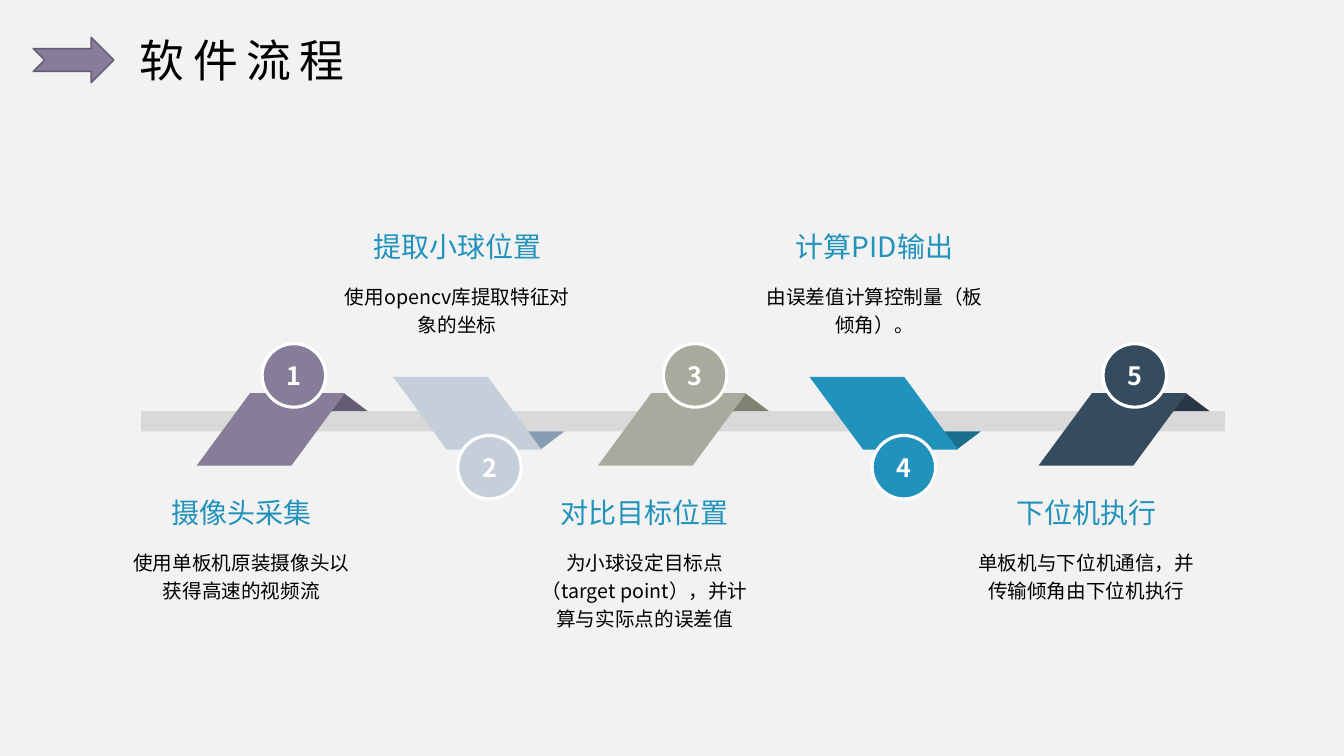
"""Build the five-step software flow slide."""
from lxml import etree
from pptx import Presentation
from pptx.dml.color import RGBColor
from pptx.enum import shapes, text
from pptx.oxml import ns
from pptx.util import Inches, Pt

FONT = "Noto Sans CJK SC"
BACKGROUND = RGBColor(0xF2, 0xF2, 0xF2)
BLACK = RGBColor(0, 0, 0)
WHITE = RGBColor(0xFF, 0xFF, 0xFF)
BAR = RGBColor(0xD9, 0xD9, 0xD9)
PURPLE = RGBColor(0x86, 0x7D, 0x98)
PURPLE_LINE = RGBColor(0x63, 0x5C, 0x70)
PURPLE_DARK = RGBColor(0x64, 0x5C, 0x74)
MIST = RGBColor(0xC4, 0xCF, 0xD9)
MIST_DARK = RGBColor(0x85, 0x9C, 0xB1)
SAGE = RGBColor(0xA7, 0xAA, 0x9D)
SAGE_DARK = RGBColor(0x7F, 0x83, 0x72)
BLUE = RGBColor(0x21, 0x92, 0xBC)
BLUE_DARK = RGBColor(0x19, 0x6D, 0x8D)
NAVY = RGBColor(0x35, 0x4B, 0x5E)
NAVY_DARK = RGBColor(0x28, 0x38, 0x46)
MSO = shapes.MSO_SHAPE

prs = Presentation()
prs.slide_width, prs.slide_height = Inches(13.33), Inches(7.5)
s = prs.slides.add_slide(prs.slide_layouts[6])
s.background.fill.solid()
s.background.fill.fore_color.rgb = BACKGROUND


def add_shape(kind, left, top, width, height, fill, line=None, weight=1.0):
    sp = s.shapes.add_shape(kind, Inches(left), Inches(top), Inches(width), Inches(height))
    sp.shadow.inherit = False
    sp.fill.solid()
    sp.fill.fore_color.rgb = fill
    if line is None:
        sp.line.fill.background()
    else:
        sp.line.color.rgb = line
        sp.line.width = Pt(weight)
    return sp


def write(sp, words, size, color, align, anchor, wrap, bold=False):
    tf = sp.text_frame
    tf.text = words
    tf.word_wrap = wrap
    tf.vertical_anchor = anchor
    p = tf.paragraphs[0]
    p.alignment = align
    r = p.runs[0]
    r.font.size, r.font.bold, r.font.name = Pt(size), bold, FONT
    r.font.color.rgb = color
    etree.SubElement(r.font._element, ns.qn("a:ea")).set("typeface", FONT)
    return p


LEFT, CENTER = text.PP_ALIGN.LEFT, text.PP_ALIGN.CENTER
TOP, MIDDLE, BOTTOM = text.MSO_ANCHOR.TOP, text.MSO_ANCHOR.MIDDLE, text.MSO_ANCHOR.BOTTOM

add_shape(MSO.NOTCHED_RIGHT_ARROW, 0.33, 0.37, 0.8, 0.45, PURPLE, PURPLE_LINE)
title = s.shapes.add_textbox(Inches(1.29), Inches(0.28), Inches(3.97), Inches(0.64))
p = write(title, "软件流程", 32, BLACK, LEFT, TOP, True)
p.runs[0].font._element.set("spc", "600")

add_shape(MSO.RECTANGLE, 1.4, 4.08, 10.75, 0.2, BAR)

steps = [
    (1.95, 2.6, 1.18, PURPLE, PURPLE_DARK, "摄像头采集", "使用单板机原装摄像头以获得高速的视频流"),
    (3.9, 4.54, 3.32, MIST, MIST_DARK, "提取小球位置", "使用opencv库提取特征对象的坐标"),
    (5.93, 6.58, 5.18, SAGE, SAGE_DARK, "对比目标位置",
     "为小球设定目标点（target point），并计算与实际点的误差值"),
    (8.03, 8.65, 7.46, BLUE, BLUE_DARK, "计算PID输出", "由误差值计算控制量（板倾角）。"),
    (10.3, 10.94, 9.56, NAVY, NAVY_DARK, "下位机执行", "单板机与下位机通信，并传输倾角由下位机执行"),
]
for number, (band_x, circle_x, text_x, color, dark, heading, body) in enumerate(steps, 1):
    upright = number % 2 == 1
    fold_y, band_y, circle_y, text_y = (3.97, 3.9, 3.41, 4.93) if upright else (4.17, 3.74, 4.32, 2.29)

    fold = add_shape(MSO.RIGHT_TRIANGLE, band_x + 1.37, fold_y, 0.29, 0.22, dark)
    fold.rotation = 37 if upright else 323
    band = add_shape(MSO.PARALLELOGRAM, band_x, band_y, 1.47, 0.72, color)
    band.adjustments[0] = 0.737
    flipped = fold if upright else band
    flipped._element.spPr.xfrm.set("flipV", "1")

    circle = add_shape(MSO.OVAL, circle_x, circle_y, 0.63, 0.63, color, WHITE, 2.25)
    write(circle, str(number), 18, WHITE, CENTER, MIDDLE, False, True)

    box = s.shapes.add_textbox(Inches(text_x), Inches(text_y), Inches(2.43), Inches(0.37))
    write(box, heading, 20, BLUE, CENTER, BOTTOM, False)
    box = s.shapes.add_textbox(Inches(text_x), Inches(text_y + 0.44), Inches(2.43), Inches(0.97))
    p = write(box, body, 14, BLACK, CENTER, TOP, True)
    p.line_spacing = 1.2

prs.save("out.pptx")
